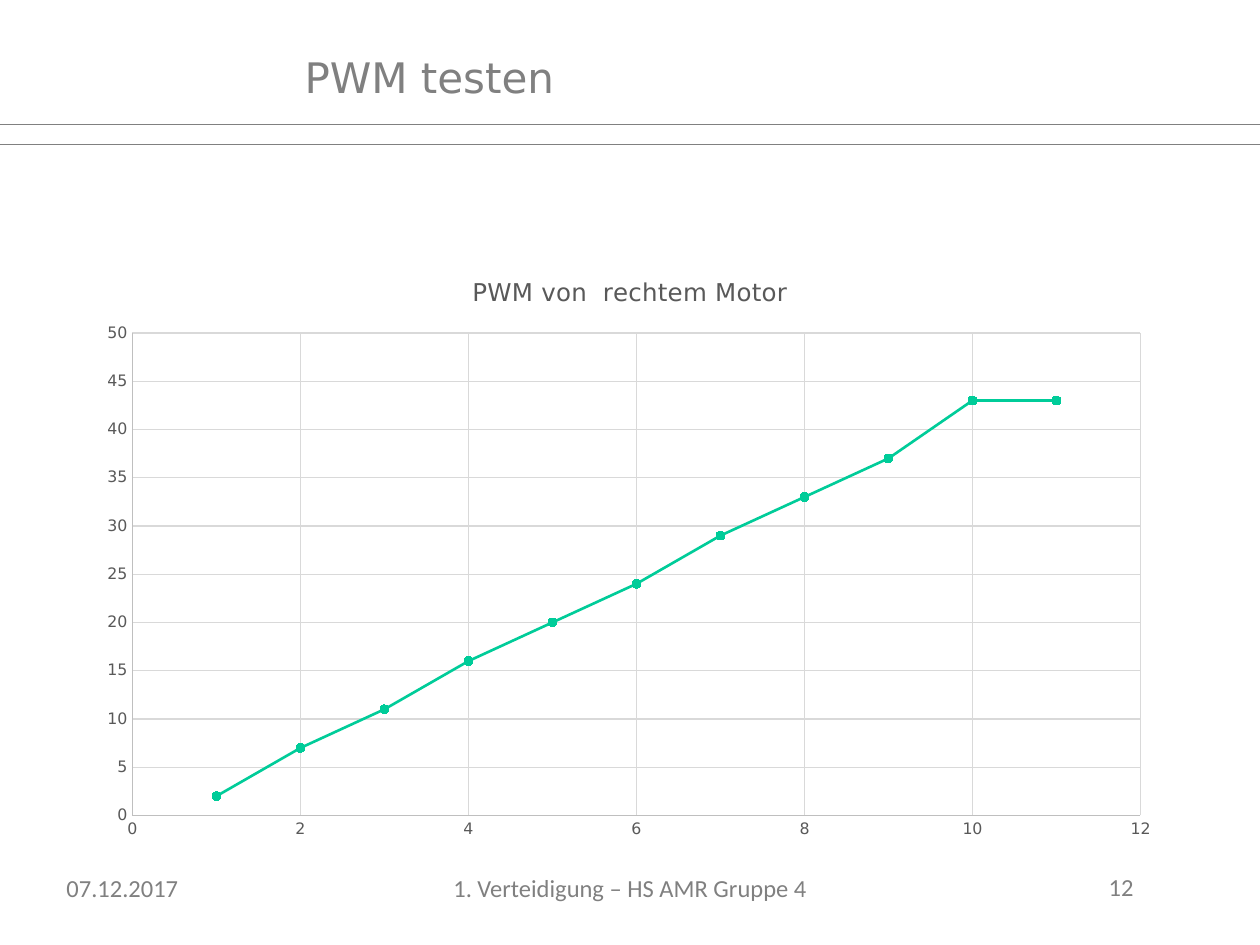
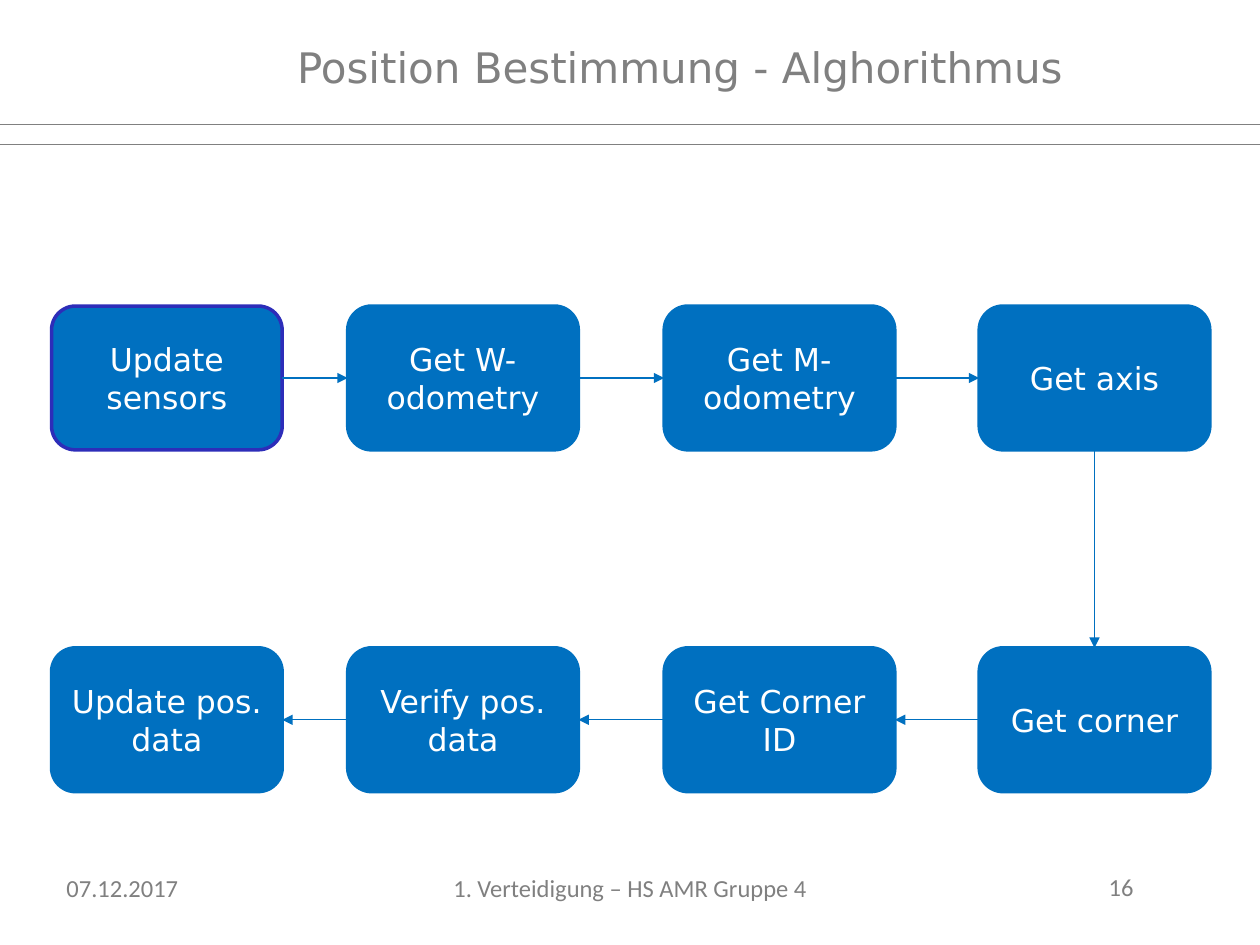
from pptx import Presentation
from pptx.chart.data import XyChartData
from pptx.dml.color import RGBColor
from pptx.enum.chart import XL_CHART_TYPE as ChartType, XL_MARKER_STYLE as MarkerStyle, XL_TICK_MARK as TickMark
from pptx.enum.shapes import MSO_CONNECTOR as Connector, MSO_SHAPE as Shape
from pptx.enum.text import MSO_ANCHOR as Anchor, MSO_AUTO_SIZE as AutoSize, PP_ALIGN as Align
from pptx.oxml import parse_xml
from pptx.oxml.ns import nsdecls, qn
from pptx.util import Cm, Pt
from lxml.etree import SubElement

GRAY = RGBColor(0x80, 0x80, 0x80)
CHART_TEXT = RGBColor(0x59, 0x59, 0x59)
AXIS_GRAY = RGBColor(0xBF, 0xBF, 0xBF)
GRID_GRAY = RGBColor(0xD9, 0xD9, 0xD9)
GREEN = RGBColor(0x00, 0xCC, 0x99)
BLUE = RGBColor(0x00, 0x70, 0xC0)
START_BLUE = RGBColor(0x2D, 0x2D, 0xB9)
WHITE = RGBColor(0xFF, 0xFF, 0xFF)
BODY_FONT = "DejaVu Sans"
FOOTER_FONT = "Calibri"

SLIDE_WIDTH, SLIDE_HEIGHT = Cm(25.4), Cm(19.05)
HEADER_LINES = (2.51, 2.92)

PWM_VALUES = (2, 7, 11, 16, 20, 24, 29, 33, 37, 43, 43)
PLOT_AREA = {"x": 0.042, "y": 0.135, "w": 0.928, "h": 0.804}

STEP_COLUMNS = (1.04, 7.01, 13.39, 19.74)
STEP_ROWS = (6.17, 13.06)
STEP_WIDTH, STEP_HEIGHT = 4.65, 2.9
STEPS = ("Update sensors", "Get W-odometry", "Get M-odometry", "Get axis",
         "Get corner", "Get Corner ID", "Verify pos. data", "Update pos. data")
TOP, LEFT, BOTTOM, RIGHT = range(4)


def style_font(font, name, size, color):
    font.name = name
    font.size = Pt(size)
    font.bold = False
    font.color.rgb = color


def style_line(line, color, width):
    line.color.rgb = color
    line.width = Pt(width)


def add_text(page, text, left, top, width, height, font_name, size, wrap=True):
    box = page.shapes.add_textbox(Cm(left), Cm(top), Cm(width), Cm(height))
    frame = box.text_frame
    frame.text = text
    frame.word_wrap = wrap
    frame.auto_size = AutoSize.NONE if wrap else AutoSize.SHAPE_TO_FIT_TEXT
    style_font(frame.paragraphs[0].runs[0].font, font_name, size, GRAY)


def add_line(page, color, width, start=(0, 0), end=(0, 0)):
    line = page.shapes.add_connector(Connector.STRAIGHT, *map(Cm, start + end))
    style_line(line.line, color, width)
    SubElement(line._element.spPr, qn("a:effectLst"))
    return line


def add_arrow(page, source, source_side, target, target_side):
    arrow = add_line(page, BLUE, 0.75)
    arrow.begin_connect(source, source_side)
    arrow.end_connect(target, target_side)
    SubElement(arrow.line._get_or_add_ln(), qn("a:tailEnd"), type="triangle")


def add_page(deck, number, title, title_left, title_top, title_width, title_height):
    page = deck.slides.add_slide(deck.slide_layouts[6])
    for height in HEADER_LINES:
        add_line(page, GRAY, 0.5, (0, height), (25.4, height))
    footers = ((number, 22.1, 17.45, 1.42), ("07.12.2017", 1.09, 17.48, 2.8),
               ("1. Verteidigung – HS AMR Gruppe 4", 8.89, 17.48, 7.7))
    for text, left, top, width in footers:
        add_text(page, text, left, top, width, 0.86, FOOTER_FONT, 14, wrap=False)
    add_text(page, title, title_left, title_top, title_width, title_height, BODY_FONT, 24)
    return page


def style_axis(axis, maximum, step):
    axis.minimum_scale, axis.maximum_scale, axis.major_unit = 0, maximum, step
    axis.major_tick_mark = axis.minor_tick_mark = TickMark.NONE
    axis.has_major_gridlines = True
    style_line(axis.major_gridlines.format.line, GRID_GRAY, 0.75)
    style_line(axis.format.line, AXIS_GRAY, 0.75)
    style_font(axis.tick_labels.font, BODY_FONT, 9, CHART_TEXT)


def place_plot(chart):
    plot_area = chart._chartSpace.chart.plotArea
    for layout in plot_area.findall(qn("c:layout")):
        plot_area.remove(layout)
    sizes = "".join(f'<c:{name} val="{share}"/>' for name, share in PLOT_AREA.items())
    plot_area.insert(0, parse_xml(
        f'<c:layout {nsdecls("c")}><c:manualLayout><c:layoutTarget val="inner"/>'
        f'<c:xMode val="edge"/><c:yMode val="edge"/>{sizes}</c:manualLayout></c:layout>'))


def add_pwm_chart(page):
    data = XyChartData()
    points = data.add_series("Series 1")
    for step, value in enumerate(PWM_VALUES, 1):
        points.add_data_point(step, value)
    chart = page.shapes.add_chart(ChartType.XY_SCATTER_LINES, Cm(1.75), Cm(5.08),
                                  Cm(21.9), Cm(12.1), data).chart
    style_font(chart.font, BODY_FONT, 10, CHART_TEXT)
    chart.has_legend = False
    chart.has_title = True
    title = chart.chart_title.text_frame
    title.text = "PWM von  rechtem Motor"
    style_font(title.paragraphs[0].runs[0].font, BODY_FONT, 14, CHART_TEXT)
    style_axis(chart.category_axis, 12, 2)
    style_axis(chart.value_axis, 50, 5)
    place_plot(chart)

    plot = chart.plots[0]
    plot.vary_by_categories = False
    series = plot.series[0]
    series.smooth = False
    style_line(series.format.line, GREEN, 1.5)
    marker = series.marker
    marker.style, marker.size = MarkerStyle.CIRCLE, 5
    marker.format.fill.solid()
    marker.format.fill.fore_color.rgb = GREEN
    marker.format.line.color.rgb = GREEN


def add_step(page, text, left, top, outline):
    box = page.shapes.add_shape(Shape.ROUNDED_RECTANGLE, Cm(left), Cm(top),
                                Cm(STEP_WIDTH), Cm(STEP_HEIGHT))
    box.shadow.inherit = False
    box.fill.solid()
    box.fill.fore_color.rgb = BLUE
    style_line(box.line, outline, 2)
    frame = box.text_frame
    frame.text = text
    frame.word_wrap = True
    frame.vertical_anchor = Anchor.MIDDLE
    para = frame.paragraphs[0]
    para.alignment = Align.CENTER
    style_font(para.runs[0].font, BODY_FONT, 18, WHITE)
    return box


def add_algorithm(page):
    upper, lower = STEP_ROWS
    places = [(left, upper) for left in STEP_COLUMNS]
    places += [(left, lower) for left in reversed(STEP_COLUMNS)]
    boxes = [add_step(page, text, left, top, BLUE if index else START_BLUE)
             for index, (text, (left, top)) in enumerate(zip(STEPS, places))]
    sides = [(RIGHT, LEFT)] * 3 + [(BOTTOM, TOP)] + [(LEFT, RIGHT)] * 3
    for source, target, (leave, enter) in zip(boxes, boxes[1:], sides):
        add_arrow(page, source, leave, target, enter)


def main():
    deck = Presentation()
    deck.slide_width, deck.slide_height = SLIDE_WIDTH, SLIDE_HEIGHT
    add_pwm_chart(add_page(deck, "12", "PWM testen", 5.89, 0.91, 21.9, 3.68))
    add_algorithm(add_page(deck, "16", "Position Bestimmung - Alghorithmus",
                           5.74, 0.71, 22.86, 3.18))
    deck.save("out.pptx")


if __name__ == "__main__":
    main()
